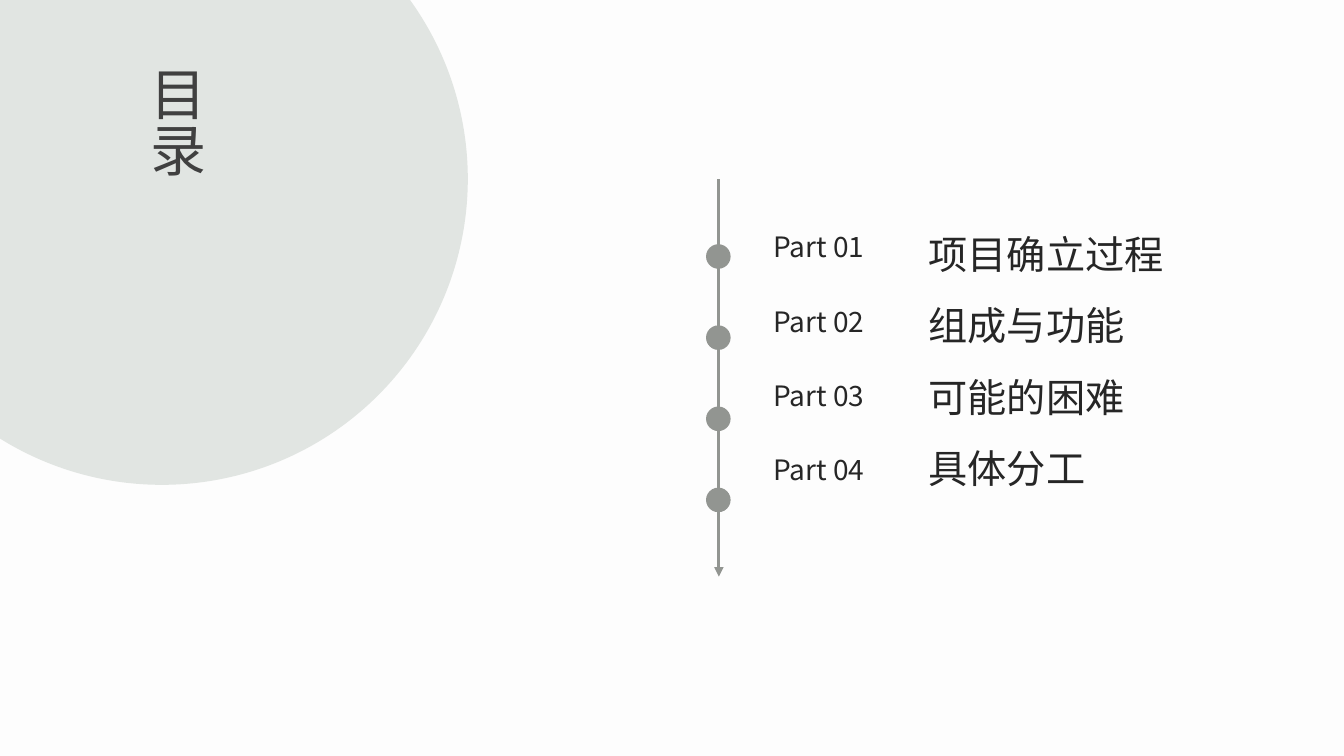
from pptx import Presentation
from pptx.util import Inches, Pt
from pptx.dml.color import RGBColor
from pptx.enum import shapes as sh, text as tx
from pptx.oxml.ns import qn
from lxml import etree

PAPER = RGBColor(0xFD, 0xFD, 0xFD)
SAGE = RGBColor(0xE1, 0xE5, 0xE2)
GREY = RGBColor(0x92, 0x95, 0x91)
INK = RGBColor(0x26, 0x26, 0x26)
DARK = RGBColor(0x40, 0x40, 0x40)
FONT = "Noto Sans CJK SC"

deck = Presentation()
deck.slide_width, deck.slide_height = Inches(13.33), Inches(7.5)
slide = deck.slides.add_slide(deck.slide_layouts[3])
slide.background.fill.solid()
slide.background.fill.fore_color.rgb = PAPER
title, parts, names = slide.placeholders


def disc(left, top, size, color):
    dot = slide.shapes.add_shape(sh.MSO_SHAPE.OVAL, Inches(left), Inches(top), Inches(size), Inches(size))
    dot.shadow.inherit = False
    dot.fill.solid()
    dot.fill.fore_color.rgb = color
    dot.line.fill.background()
    return dot


def write(box, place, lines, size, color, align, gap=0):
    box.left, box.top, box.width, box.height = [Inches(n) for n in place]
    frame = box.text_frame
    frame.word_wrap = True
    frame.auto_size = tx.MSO_AUTO_SIZE.NONE
    frame.vertical_anchor = tx.MSO_ANCHOR.TOP
    for i, line in enumerate(lines):
        para = frame.add_paragraph() if i else frame.paragraphs[0]
        para.alignment = align
        para.space_before, para.space_after = Pt(0), Pt(gap)
        props = para._p.get_or_add_pPr()
        props.set("marL", "0")
        props.set("indent", "0")
        etree.SubElement(props, qn("a:buNone"))
        run = para.add_run()
        run.text = line
        run.font.size, run.font.name = Pt(size), FONT
        run.font.color.rgb = color
        etree.SubElement(run.font._element, qn("a:ea")).set("typeface", FONT)


circle = disc(-1.43, -1.26, 6.07, SAGE)
slide.shapes._spTree.insert(2, circle._element)

write(title, (1.3, 0.61, 0.88, 2.76), ["目录"], 40, DARK, tx.PP_ALIGN.JUSTIFY)
title.text_frame._txBody.bodyPr.set("vert", "eaVert")

topics = ["项目确立过程", "组成与功能", "可能的困难", "具体分工"]
labels = [f"Part {n:02}" for n in range(1, len(topics) + 1)]
write(parts, (7.57, 2.23, 1.5, 2.99), labels, 20, INK, tx.PP_ALIGN.LEFT, 29.1)
write(names, (9.11, 2.23, 2.62, 2.99), topics, 28, INK, tx.PP_ALIGN.JUSTIFY, 17.5)

axis = slide.shapes.add_connector(sh.MSO_CONNECTOR.STRAIGHT, Inches(7.13), Inches(1.78), Inches(7.13), Inches(5.72))
axis.line.color.rgb = GREY
axis.line.width = Pt(2.25)
etree.SubElement(axis.line._get_or_add_ln(), qn("a:tailEnd")).set("type", "triangle")
etree.SubElement(axis._element.spPr, qn("a:effectLst"))

for i in range(len(topics)):
    dot = disc(7.01, 2.43 + 0.805 * i, 0.23, GREY)
    dot.line.color.rgb = GREY
    dot.line.width = Pt(1)

deck.save("out.pptx")
